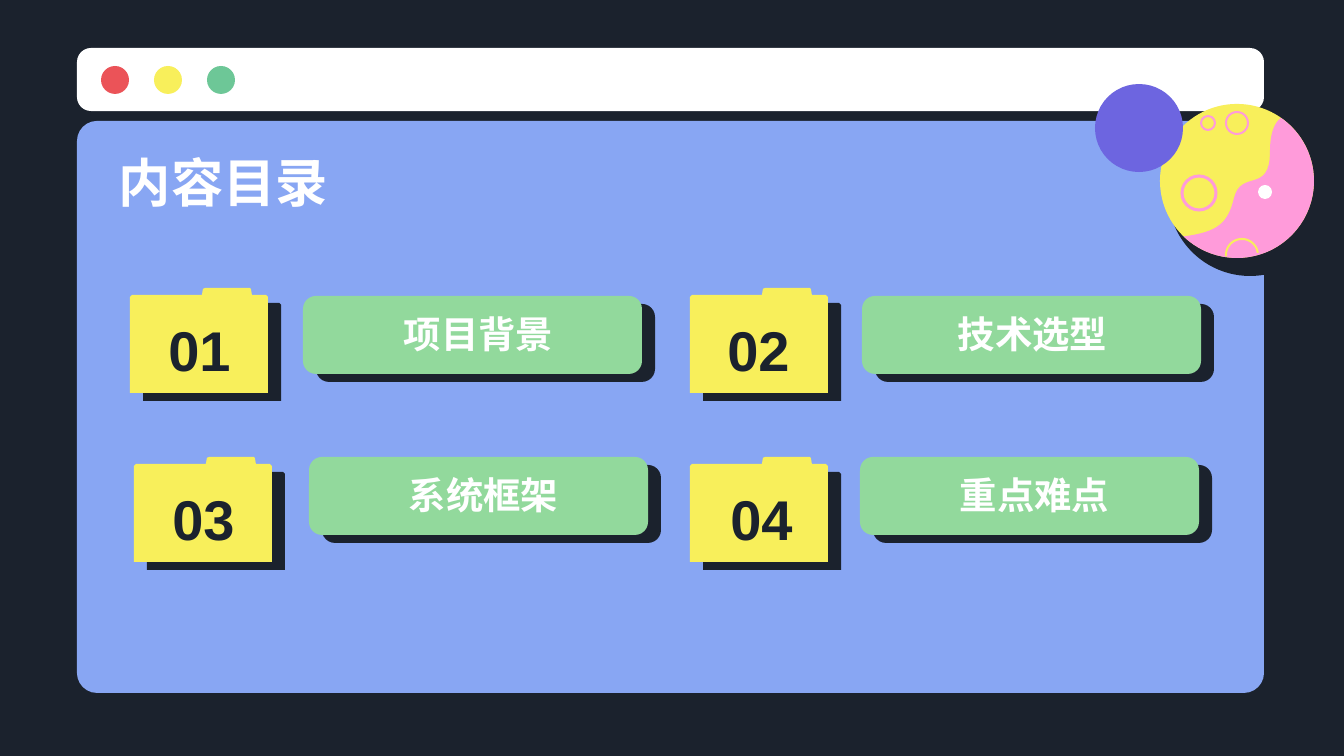
from dataclasses import dataclass
from math import cos, radians, sin

from lxml.etree import SubElement
from pptx import Presentation
from pptx.dml.color import RGBColor
from pptx.enum.shapes import MSO_SHAPE
from pptx.enum.text import MSO_ANCHOR, PP_ALIGN
from pptx.oxml.ns import qn
from pptx.util import Emu, Pt

EMU_PER_PX = 914400 / 134.4
SLIDE_W, SLIDE_H = 1344, 756


@dataclass(frozen=True)
class Theme:
    dark: str = "1B222D"
    white: str = "FFFFFF"
    panel: str = "88A6F3"
    red: str = "EB5358"
    yellow: str = "F8EF5B"
    green: str = "6DC797"
    label: str = "92D99C"
    pink: str = "FF9BDA"
    violet: str = "6D65E0"
    cjk: str = "Noto Sans CJK SC"
    latin: str = "Arial"
    title_size: int = 28
    number_size: int = 30
    label_size: int = 20


@dataclass(frozen=True)
class Entry:
    number: str
    title: str
    folder: tuple
    number_at: tuple
    label: tuple
    title_at: tuple


THEME = Theme()
ENTRIES = [
    Entry("01", "项目背景", (130, 288), (141, 306), (303, 296), (340, 310)),
    Entry("02", "技术选型", (690, 288), (700, 306), (862, 296), (894, 310)),
    Entry("03", "系统框架", (134, 457), (145, 475), (309, 457), (345, 471)),
    Entry("04", "重点难点", (690, 457), (703, 475), (860, 457), (896, 471)),
]


def px(n):
    return Emu(round(n * EMU_PER_PX))


def rgb(color):
    return RGBColor.from_string(color)


def paint(sp, fill=None, line=None, width=0):
    sp.shadow.inherit = False
    if fill:
        sp.fill.solid()
        sp.fill.fore_color.rgb = rgb(fill)
    else:
        sp.fill.background()
    if line:
        sp.line.color.rgb = rgb(line)
        sp.line.width = px(width)
    else:
        sp.line.fill.background()
    return sp


def add_card(s, x, y, w, h, radius, fill):
    sp = s.shapes.add_shape(MSO_SHAPE.ROUNDED_RECTANGLE, px(x), px(y), px(w), px(h))
    sp.adjustments[0] = radius / min(w, h)
    return paint(sp, fill)


def add_circle(s, cx, cy, r, fill=None, line=None, width=0):
    sp = s.shapes.add_shape(MSO_SHAPE.OVAL, px(cx - r), px(cy - r), px(2 * r), px(2 * r))
    return paint(sp, fill, line, width)


def add_outline(s, points, close=True, **style):
    pts = [(px(x), px(y)) for x, y in points]
    builder = s.shapes.build_freeform(*pts[0], scale=1.0)
    builder.add_line_segments(pts[1:], close=close)
    return paint(builder.convert_to_shape(), **style)


def arc(cx, cy, r, start, end, steps=40):
    """Points on a circle, clockwise on the slide, angles in degrees."""
    angles = [radians(start + (end - start) * i / steps) for i in range(steps + 1)]
    return [(cx + r * cos(a), cy + r * sin(a)) for a in angles]


def bezier(p0, p1, p2, p3, steps=16):
    """Points on a cubic curve, without its start point."""
    points = []
    for i in range(1, steps + 1):
        t = i / steps
        weights = ((1 - t) ** 3, 3 * t * (1 - t) ** 2, 3 * t * t * (1 - t), t ** 3)
        points.append(tuple(sum(w * p[k] for w, p in zip(weights, (p0, p1, p2, p3)))
                            for k in (0, 1)))
    return points


def add_text(s, text, x, y, w, h, size, color, face,
             align=PP_ALIGN.CENTER, anchor=MSO_ANCHOR.MIDDLE):
    tf = s.shapes.add_textbox(px(x), px(y), px(w), px(h)).text_frame
    tf.word_wrap = True
    tf.vertical_anchor = anchor
    tf.margin_left = tf.margin_right = tf.margin_top = tf.margin_bottom = px(13)
    p = tf.paragraphs[0]
    p.text = text
    p.alignment = align
    p.font.size = Pt(size)
    p.font.bold = True
    p.font.name = face
    p.font.color.rgb = rgb(color)
    latin = p._p.pPr.find(qn("a:defRPr")).find(qn("a:latin"))
    SubElement(latin.getparent(), qn("a:ea"), typeface=face)


def add_hard_shadow(sp, color):
    effects = sp._element.spPr.find(qn("a:effectLst"))
    shadow = SubElement(effects, qn("a:outerShdw"), blurRad="0", dist=str(Pt(8.2)),
                        dir=str(31 * 60000), algn="bl", rotWithShape="0")
    SubElement(shadow, qn("a:srgbClr"), val=color)


def add_folder(s, x, y):
    outline = [(0, 9), (2, 7), (72, 7), (73, 1), (75, 0), (120, 0), (121, 1),
               (122, 7), (136, 7), (138, 9), (138, 105), (0, 105)]
    sp = add_outline(s, [(x + dx, y + dy) for dx, dy in outline], fill=THEME.yellow)
    add_hard_shadow(sp, THEME.dark)


def add_window(s):
    add_card(s, 77, 48, 1187, 63, 14, THEME.white)
    for i, color in enumerate((THEME.red, THEME.yellow, THEME.green)):
        add_circle(s, 115 + 53 * i, 80, 14, color)
    add_card(s, 77, 121, 1187, 572, 20, THEME.panel)


def add_planet(s):
    cx, cy, r = 1237, 181, 77
    add_circle(s, cx + 13, cy + 13, r + 5, THEME.dark)
    add_circle(s, cx, cy, r, THEME.yellow)
    for x, y, radius, width in ((1208, 123, 7, 2), (1237, 123, 11, 2), (1199, 193, 17, 3)):
        add_circle(s, x, y, radius, line=THEME.pink, width=width)
    rim = arc(cx, cy, r, -55, 134)
    shore = (bezier(rim[-1], (1218, 232), (1228, 223), (1234, 198))
             + bezier((1234, 198), (1241, 169), (1270, 194), (1270, 152))
             + bezier((1270, 152), (1270, 132), (1275, 122), rim[0]))
    add_outline(s, rim + shore, fill=THEME.pink)
    add_outline(s, arc(1242, 255, 16, 175, 352), close=False, line=THEME.yellow, width=2)
    add_circle(s, 1265, 192, 7, THEME.white)
    add_circle(s, 1139, 128, 44, THEME.violet)


def add_entry(s, entry):
    x, y = entry.label
    for shift_x, shift_y, color in ((13, 8, THEME.dark), (0, 0, THEME.label)):
        add_card(s, x + shift_x, y + shift_y, 339, 78, 13, color)
    add_folder(s, *entry.folder)
    add_text(s, entry.title, *entry.title_at, 277, 59, THEME.label_size,
             THEME.white, THEME.cjk, anchor=MSO_ANCHOR.BOTTOM)
    add_text(s, entry.number, *entry.number_at, 117, 87, THEME.number_size,
             THEME.dark, THEME.latin)


def main():
    prs = Presentation()
    prs.slide_width, prs.slide_height = px(SLIDE_W), px(SLIDE_H)
    s = prs.slides.add_slide(prs.slide_layouts[6])
    s.background.fill.solid()
    s.background.fill.fore_color.rgb = rgb(THEME.dark)
    add_window(s)
    add_planet(s)
    for entry in ENTRIES:
        add_entry(s, entry)
    add_text(s, "内容目录", 106, 137, 1133, 83, THEME.title_size, THEME.white,
             THEME.cjk, PP_ALIGN.LEFT, MSO_ANCHOR.TOP)
    prs.save("out.pptx")


if __name__ == "__main__":
    main()
